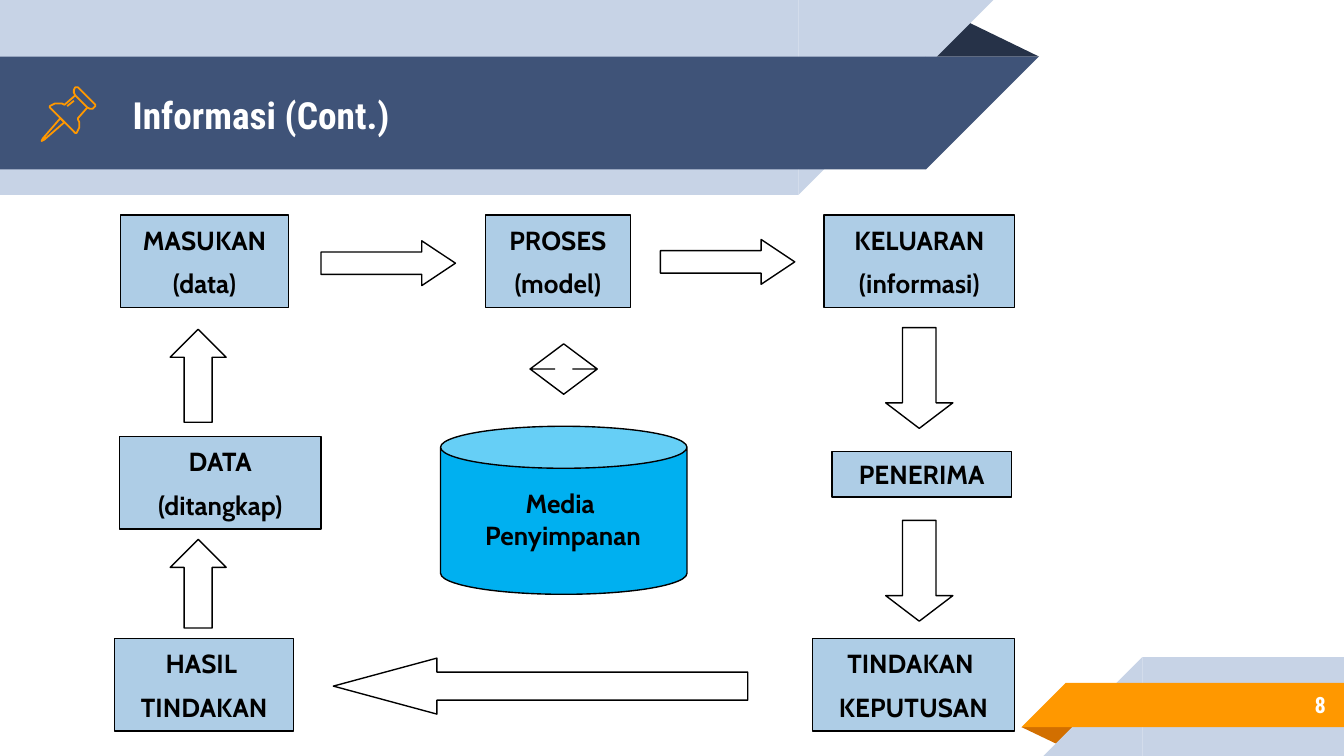
from pptx import Presentation
from pptx.dml.color import RGBColor
from pptx.enum.shapes import MSO_SHAPE
from pptx.enum.text import MSO_ANCHOR, PP_ALIGN
from pptx.util import Pt

COLORS = {
    "white": "FFFFFF", "black": "000000", "pale": "C7D3E6", "navy": "3F5378",
    "dark": "263248", "orange": "FF9800", "rust": "D26F00",
    "box": "AECDE6", "storage": "00B0F0",
}
HEADING, BODY = "Roboto Condensed", "Cabin"

TOP_BANDS = [("pale", 0, 427.7, 104.4), ("navy", 30.3, 496, 60.5)]
BOTTOM_BANDS = [("pale", 352, 612, 53), ("orange", 365.8, 571, 23.8)]
FOLDS = [("dark", 495.4, 10.1, 61.2, 20.2, 0), ("rust", 547.2, 389.5, 31, 10.1, 180)]

BOXES = [
    (["PROSES", "(model)"], 260, 115.2, 77.8, 49.7),
    (["KELUARAN", "(informasi)"], 441.4, 115.2, 102.2, 49.7),
    (["MASUKAN", "(data)"], 64.6, 115.2, 90, 49.7),
    (["PENERIMA"], 445.8, 241.8, 96, 24.5),
    (["TINDAKAN ", "KEPUTUSAN"], 435.4, 342, 108, 49.7),
    (["HASIL ", "TINDAKAN"], 61.4, 342, 96, 49.7),
    (["DATA", "(ditangkap)"], 64, 233.8, 108, 49.7),
]

ARROWS = [
    (MSO_SHAPE.RIGHT_ARROW, 0.75, 172, 129, 72, 24),
    (MSO_SHAPE.RIGHT_ARROW, 0.75, 353.8, 128.3, 72, 24),
    (MSO_SHAPE.UP_DOWN_ARROW, 0.27, 284, 184.2, 36, 27),
    (MSO_SHAPE.DOWN_ARROW, 0.38, 474.5, 175.5, 36, 54),
    (MSO_SHAPE.DOWN_ARROW, 0.38, 474.5, 278.8, 36, 54),
    (MSO_SHAPE.LEFT_ARROW, 1.85, 178.6, 352.6, 222, 30),
    (MSO_SHAPE.UP_ARROW, 0.5, 91.2, 176.4, 30, 49.8),
    (MSO_SHAPE.UP_ARROW, 0.5, 91.2, 289, 30, 47.5),
]

PIN_UNIT = Pt(0.72)
PIN = [
    ([(45, 88), (32, 103), (31, 105), (33, 104), (48, 91)], True),
    ([(56, 71), (65, 80), (67, 81), (69, 81), (71, 79), (71, 78), (58, 65),
      (57, 65), (56, 65), (55, 67), (55, 69)], True),
    ([(56, 71), (48, 78), (46, 77), (44, 77), (41, 77), (39, 78), (37, 79),
      (37, 80), (38, 81), (55, 98), (56, 99), (57, 99), (58, 97), (59, 95),
      (59, 93), (59, 91), (58, 89), (58, 88), (65, 80)], False),
    ([(50, 79), (55, 75)], False),
]


def rgb(name):
    return RGBColor.from_string(COLORS[name])


def paint(sp, fill=None, line=None, width=0.75):
    sp.shadow.inherit = False
    if fill:
        sp.fill.solid()
        sp.fill.fore_color.rgb = rgb(fill)
    else:
        sp.fill.background()
    if line:
        sp.line.color.rgb = rgb(line)
        sp.line.width = Pt(width)
    else:
        sp.line.fill.background()


def add(shapes, kind, place, fill=None, line=None, adj=(), rotation=0, flip=False):
    sp = shapes.add_shape(kind, *map(Pt, place))
    paint(sp, fill, line)
    for i, value in enumerate(adj):
        sp.adjustments[i] = value
    sp.rotation = rotation
    if flip:
        sp._element.spPr.xfrm.set("flipH", "1")
    return sp


def write(sp, lines, size=14, font=BODY, color="black", align=PP_ALIGN.CENTER,
          anchor=MSO_ANCHOR.MIDDLE, inset=(7.2, 3.6), gap=0, wrap=True):
    tf = sp.text_frame
    tf.word_wrap = wrap
    tf.vertical_anchor = anchor
    tf.margin_left = tf.margin_right = Pt(inset[0])
    tf.margin_top = tf.margin_bottom = Pt(inset[1])
    for i, line in enumerate(lines):
        p = tf.add_paragraph() if i else tf.paragraphs[0]
        p.alignment = align
        p.space_before = Pt(gap if i else 0)
        r = p.add_run()
        r.text = line
        r.font.size, r.font.name, r.font.bold = Pt(size), font, True
        r.font.color.rgb = rgb(color)


def add_text(shapes, place, lines, **fmt):
    write(shapes.add_textbox(*map(Pt, place)), lines, **fmt)


def main():
    prs = Presentation()
    prs.slide_width, prs.slide_height = Pt(720), Pt(405)
    shapes = prs.slides.add_slide(prs.slide_layouts[6]).shapes

    def add_fold(color, x, y, w, h, rotation):
        add(shapes, MSO_SHAPE.ISOSCELES_TRIANGLE, (x, y, w, h), color,
            adj=[0.32], rotation=rotation)

    add_fold(*FOLDS[0])
    for color, y, w, h in TOP_BANDS:
        add(shapes, MSO_SHAPE.RECTANGLE, (0, y, w, h), color)
        add(shapes, MSO_SHAPE.RIGHT_TRIANGLE, (w, y, h, h), color, rotation=180, flip=True)
    add_fold(*FOLDS[1])
    for color, y, x, h in BOTTOM_BANDS:
        add(shapes, MSO_SHAPE.RECTANGLE, (x, y, 720 - x, h), color)
        add(shapes, MSO_SHAPE.RIGHT_TRIANGLE, (x - h, y, h, h), color, flip=True)

    heading = dict(font=HEADING, color="white", inset=(7.2, 7.2))
    add_text(shapes, (64, 31, 433, 60.5), ["Informasi (Cont.)"], size=20,
             align=PP_ALIGN.LEFT, **heading)
    add_text(shapes, (600, 365, 117.4, 25.2), ["8"], size=12,
             align=PP_ALIGN.RIGHT, **heading)

    for points, closed in PIN:
        fb = shapes.build_freeform(*points[0], scale=PIN_UNIT)
        fb.add_line_segments(points[1:], close=closed)
        paint(fb.convert_to_shape(), line="orange", width=0.96)

    add(shapes, MSO_SHAPE.CAN, (236, 228.4, 132, 90), "storage", "black", [0.25])
    add_text(shapes, (246.2, 257.8, 111, 41), ["Media ", "Penyimpanan"],
             anchor=MSO_ANCHOR.TOP, wrap=False)
    for lines, *place in BOXES:
        write(add(shapes, MSO_SHAPE.RECTANGLE, place, "box", "black"), lines, gap=6.6)
    for kind, head, *place in ARROWS:
        add(shapes, kind, place, line="black", adj=[0.5, head])

    prs.save("out.pptx")


if __name__ == "__main__":
    main()
